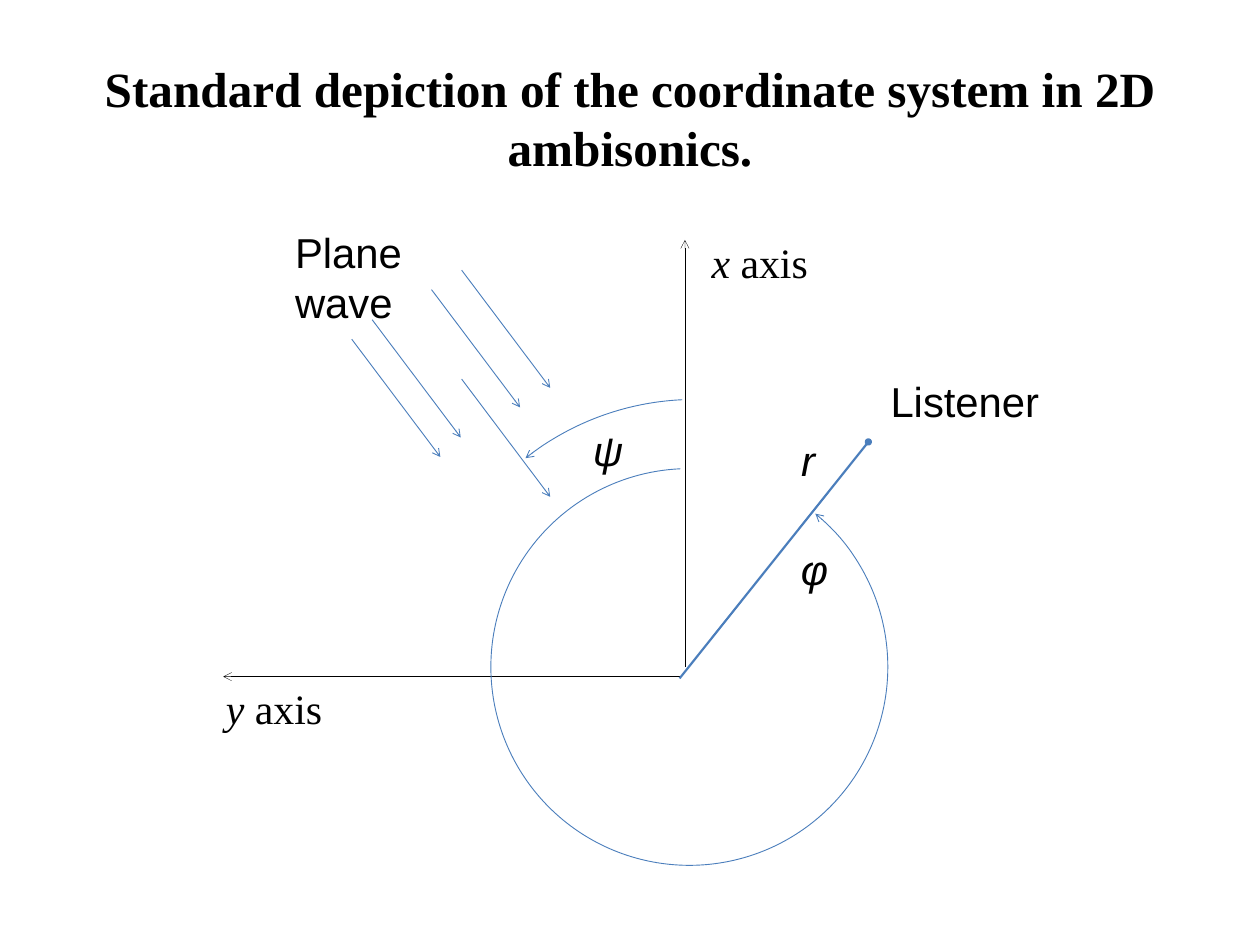
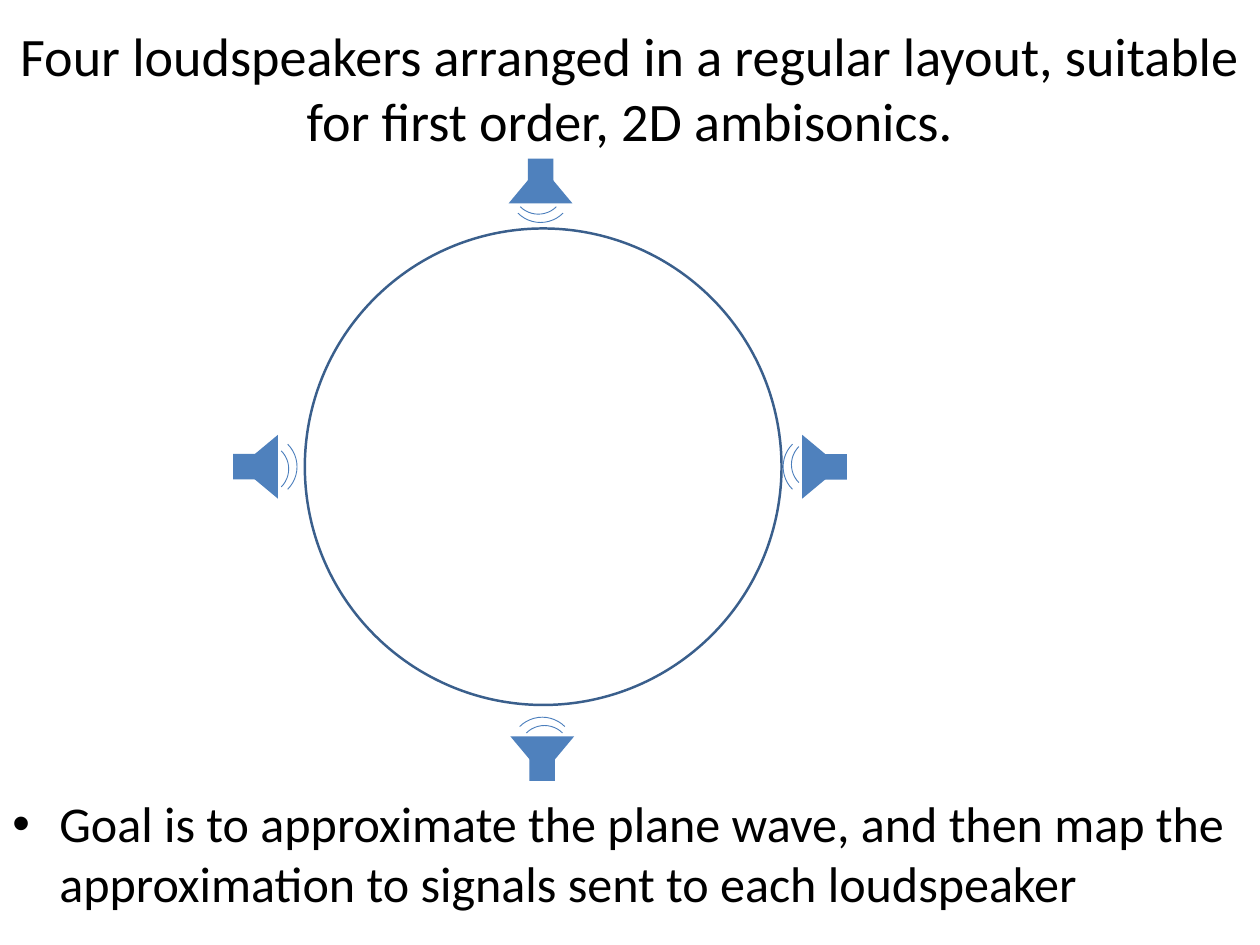
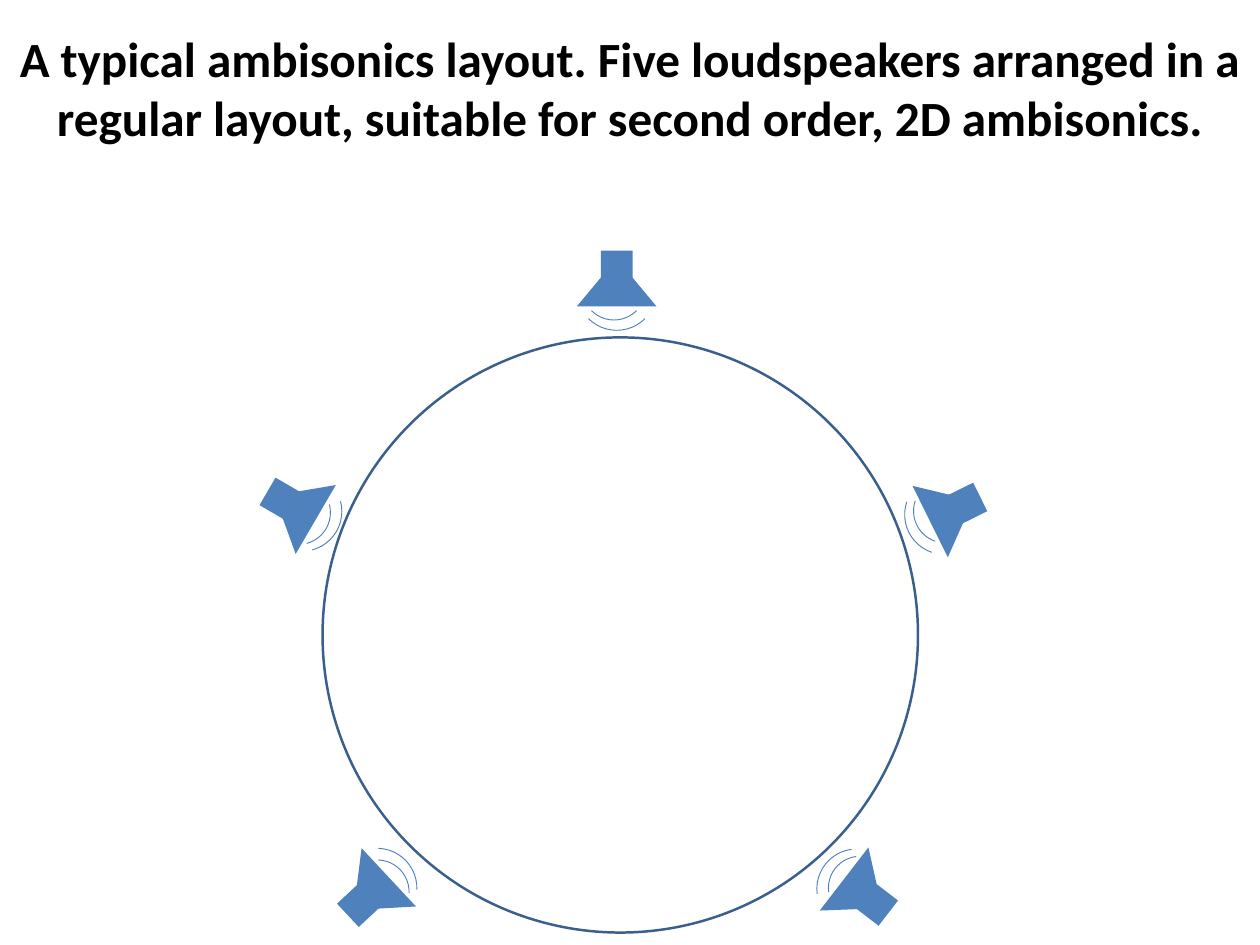
from math import cos, radians, sin

from lxml.etree import SubElement
from pptx import Presentation
from pptx.dml.color import RGBColor
from pptx.enum.shapes import MSO_CONNECTOR, MSO_SHAPE
from pptx.enum.text import MSO_ANCHOR, MSO_AUTO_SIZE, PP_ALIGN
from pptx.oxml.ns import qn
from pptx.util import Inches, Pt

WIDTH, HEIGHT = 14.22, 10.67
BLACK, FILL, LINE, RING = "000000", "4F81BD", "4B7EBC", "3A5F8C"
SANS, SERIF, BODY = "Arial", "Times New Roman", "Calibri"
INSET_X, INSET_Y = 0.14, 0.07
LABEL_SIZE = 34

COORDINATES_TITLE = "Standard depiction of the coordinate system in 2D ambisonics."
# left, top, width, height, font, paragraphs of (text, italic) runs
LABELS = [
    (6.55, 4.73, 0.62, 0.72, SANS, [[("ψ", True)]]),
    (8.9, 6.07, 0.54, 0.72, SANS, [[("φ", True)]]),
    (8.9, 4.84, 0.45, 0.72, SANS, [[("r", True)]]),
    (2.41, 7.64, 1.39, 0.72, SERIF, [[("y ", True), ("axis", False)]]),
    (7.89, 2.6, 1.39, 0.72, SERIF, [[("x ", True), ("axis", False)]]),
    (3.19, 2.49, 1.64, 1.29, SANS, [[("Plane", False)], [("wave", False)]]),
    (9.91, 4.17, 1.99, 0.72, SANS, [[("Listener", False)]]),
]
WAVE_STARTS = [(5.21, 4.28), (4.2, 3.61), (3.97, 3.83), (4.87, 3.27), (5.21, 3.05)]
WAVE_STEP = (1.0, 1.33)
# start, end, colour, line width, end mark
AXES = [
    ((7.67, 7.64), (2.52, 7.64), BLACK, 0.25, "arrow"),
    ((7.73, 7.53), (7.73, 2.71), BLACK, 0.25, "arrow"),
    ((7.67, 7.66), (9.8, 4.99), LINE, 1.75, "oval"),
]
# centre, diameter, start and end angle in degrees
ANGLE_ARCS = [((7.78, 7.53), 4.48, 39.4, 357.4), ((7.84, 7.59), 6.16, 321.7, 357.4)]

# speakers: horn centre and turn in degrees (0 faces down)
LAYOUTS = [
    dict(
        title="Four loudspeakers arranged in a regular layout, suitable for "
              "first order, 2D ambisonics.",
        size=44, bold=False, ring=((6.13, 5.27), 5.38), unit=0.144,
        speakers=[((6.1, 2.08), 0), ((9.27, 5.27), 90),
                  ((6.12, 8.53), 180), ((2.92, 5.27), 270)],
        goal="Goal is to approximate the plane wave, and then map the "
             "approximation to signals sent to each loudspeaker",
    ),
    dict(
        title="A typical ambisonics layout. Five loudspeakers arranged in a regular "
              "layout, suitable for second order, 2D ambisonics.",
        size=40, bold=True, ring=((7, 7.17), 6.72), unit=0.18,
        speakers=[((6.96, 3.19), 0), ((10.74, 5.77), 63.7), ((9.74, 10.09), 127.6),
                  ((4.19, 10.09), 227), ((3.33, 5.73), 300.2)],
        goal=None,
    ),
]
# shape, offset from the horn centre, size and own turn; lengths in speaker units
SPEAKER_PARTS = [
    (MSO_SHAPE.RECTANGLE, (0, -1), (2, 2), 90),
    (MSO_SHAPE.ISOSCELES_TRIANGLE, (0, 0), (5, 3), 0),
    (MSO_SHAPE.ARC, (0, 0.5), (5, 5), 135),
    (MSO_SHAPE.ARC, (-0.17, 0.35), (4, 4), 135),
]


def rgb(value):
    return RGBColor.from_string(value)


def end_mark(line, tag, kind):
    SubElement(line._get_or_add_ln(), qn(tag)).set("type", kind)


def add_line(s, start, end, color, width, mark):
    c = s.shapes.add_connector(MSO_CONNECTOR.STRAIGHT, *map(Inches, start + end))
    c.line.color.rgb = rgb(color)
    c.line.width = Pt(width)
    end_mark(c.line, "a:tailEnd", mark)
    SubElement(c._element.spPr, qn("a:effectLst"))


def add_centred(shapes, kind, centre, size, turn=0, fill=None, line=None, width=0.75):
    """Add a shape placed by its centre."""
    (x, y), (w, h) = centre, size
    sp = shapes.add_shape(kind, *map(Inches, (x - w / 2, y - h / 2, w, h)))
    sp.rotation = turn % 360
    sp.shadow.inherit = False
    if fill:
        sp.fill.solid()
        sp.fill.fore_color.rgb = rgb(fill)
    else:
        sp.fill.background()
    if line:
        sp.line.color.rgb = rgb(line)
        sp.line.width = Pt(width)
    else:
        sp.line.fill.background()
    return sp


def add_box(s, left, top, width, height, wrap=True):
    tf = s.shapes.add_textbox(*map(Inches, (left, top, width, height))).text_frame
    tf.word_wrap = wrap
    tf.auto_size = MSO_AUTO_SIZE.NONE if wrap else MSO_AUTO_SIZE.SHAPE_TO_FIT_TEXT
    tf.margin_left = tf.margin_right = Inches(INSET_X)
    tf.margin_top = tf.margin_bottom = Inches(INSET_Y)
    return tf


def add_run(p, text, font, size, bold=False, italic=False):
    r = p.add_run()
    r.text = text
    r.font.name, r.font.size = font, Pt(size)
    r.font.bold, r.font.italic = bold, italic
    r.font.color.rgb = rgb(BLACK)


def add_title(s, text, font, size, bold, box=(0, 0, WIDTH, 1.97)):
    tf = add_box(s, *box)
    tf.vertical_anchor = MSO_ANCHOR.MIDDLE
    p = tf.paragraphs[0]
    p.alignment = PP_ALIGN.CENTER
    add_run(p, text, font, size, bold)


def add_bullet(s, text):
    p = add_box(s, 0, 8.88, WIDTH, HEIGHT - 8.88).paragraphs[0]
    pPr = p._p.get_or_add_pPr()
    pPr.set("marL", str(Inches(0.53)))
    pPr.set("indent", str(-Inches(0.53)))
    SubElement(pPr, qn("a:buFont")).set("typeface", SANS)
    SubElement(pPr, qn("a:buChar")).set("char", "•")
    add_run(p, text, BODY, 40.7)


def add_speaker(s, centre, turn, unit):
    group = s.shapes.add_group_shape()
    c, n = cos(radians(turn)), sin(radians(turn))
    for kind, (dx, dy), size, own_turn in SPEAKER_PARTS:
        place = (centre[0] + unit * (dx * c - dy * n),
                 centre[1] + unit * (dx * n + dy * c))
        colors = {"line": LINE} if kind == MSO_SHAPE.ARC else {"fill": FILL}
        add_centred(group.shapes, kind, place, [unit * v for v in size],
                    turn + own_turn, **colors)


def build_coordinates(s):
    add_title(s, COORDINATES_TITLE, SERIF, 40, True, (0.71, 0.43, 12.8, 1.78))
    for x, y in WAVE_STARTS:
        add_line(s, (x, y), (x + WAVE_STEP[0], y + WAVE_STEP[1]), LINE, 0.75, "arrow")
    for axis in AXES:
        add_line(s, *axis)
    for centre, diameter, start, end in ANGLE_ARCS:
        arc = add_centred(s.shapes, MSO_SHAPE.ARC, centre, (diameter, diameter),
                          270, line=LINE)
        for i, degrees in enumerate((start, end)):
            arc.adjustments[i] = degrees * 0.6  # 60000 units a degree, scaled by 100000
        end_mark(arc.line, "a:headEnd", "arrow")
    for left, top, width, height, font, paragraphs in LABELS:
        tf = add_box(s, left, top, width, height, wrap=False)
        for i, runs in enumerate(paragraphs):
            p = tf.add_paragraph() if i else tf.paragraphs[0]
            for text, italic in runs:
                add_run(p, text, font, LABEL_SIZE, italic=italic)


def build_layout(s, layout):
    add_title(s, layout["title"], BODY, layout["size"], layout["bold"])
    centre, diameter = layout["ring"]
    add_centred(s.shapes, MSO_SHAPE.OVAL, centre, (diameter, diameter),
                line=RING, width=2)
    for place, turn in layout["speakers"]:
        add_speaker(s, place, turn, layout["unit"])
    if layout["goal"]:
        add_bullet(s, layout["goal"])


def main():
    prs = Presentation()
    prs.slide_width, prs.slide_height = Inches(WIDTH), Inches(HEIGHT)
    blank = prs.slide_layouts[6]
    build_coordinates(prs.slides.add_slide(blank))
    for layout in LAYOUTS:
        build_layout(prs.slides.add_slide(blank), layout)
    prs.save("out.pptx")


if __name__ == "__main__":
    main()
